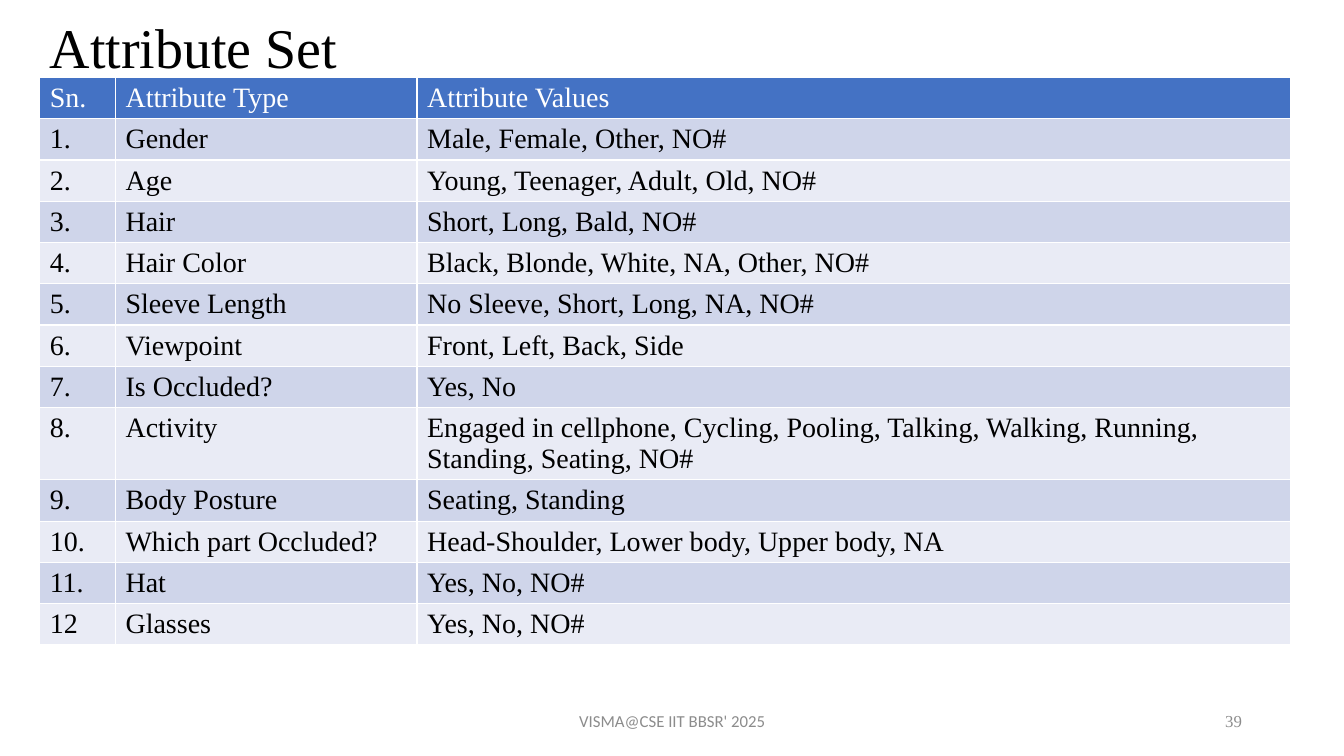
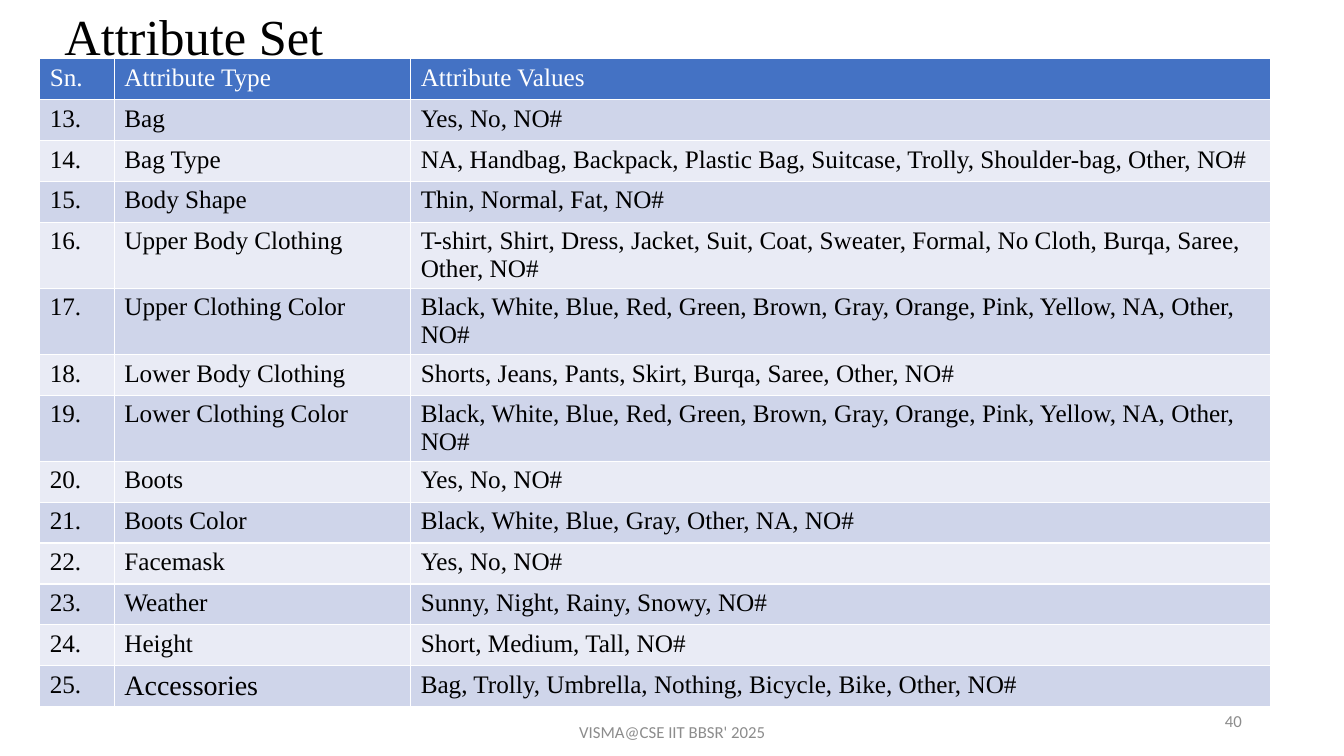
from lxml import etree
from pptx import Presentation
from pptx.dml.color import RGBColor
from pptx.enum.text import MSO_ANCHOR, MSO_AUTO_SIZE, PP_ALIGN
from pptx.oxml.ns import qn
from pptx.util import Cm, Pt

SERIF = "Times New Roman"
SANS = "Calibri"
WHITE, BLACK, GRAY = "FFFFFF", "000000", "8C8C8C"
HEADER_FILL = "4472C4"
BAND_FILLS = ("CFD5EA", "E9EBF5")
CELL_LEADING = 1.11
FOOTER = "VISMA@CSE IIT BBSR' 2025"
FOOTER_TOP = 17.65
COLOR_VALUES = ("Black, White, Blue, Red, Green, Brown, Gray, Orange, Pink, "
                "Yellow, NA, Other, NO#")

HEADER = ("Sn.", "Attribute Type", "Attribute Values")
PERSON_ROWS = [
    ("1.", "Gender", "Male, Female, Other, NO#"),
    ("2.", "Age", "Young, Teenager, Adult, Old, NO#"),
    ("3.", "Hair", "Short, Long, Bald, NO#"),
    ("4.", "Hair Color", "Black, Blonde, White, NA, Other, NO#"),
    ("5.", "Sleeve Length", "No Sleeve, Short, Long, NA, NO#"),
    ("6.", "Viewpoint", "Front, Left, Back, Side"),
    ("7.", "Is Occluded?", "Yes, No"),
    ("8.", "Activity", "Engaged in cellphone, Cycling, Pooling, Talking, "
                       "Walking, Running, Standing, Seating, NO#"),
    ("9.", "Body Posture", "Seating, Standing"),
    ("10.", "Which part Occluded?", "Head-Shoulder, Lower body, Upper body, NA"),
    ("11.", "Hat", "Yes, No, NO#"),
    ("12", "Glasses", "Yes, No, NO#"),
]
CLOTHING_ROWS = [
    ("13.", "Bag", "Yes, No, NO#"),
    ("14.", "Bag Type", "NA, Handbag, Backpack, Plastic Bag, Suitcase, Trolly, "
                        "Shoulder-bag, Other, NO#"),
    ("15.", "Body Shape", "Thin, Normal, Fat, NO#"),
    ("16.", "Upper Body Clothing", "T-shirt, Shirt, Dress, Jacket, Suit, Coat, "
                                   "Sweater, Formal, No Cloth, Burqa, Saree, "
                                   "Other, NO#"),
    ("17.", "Upper Clothing Color", COLOR_VALUES),
    ("18.", "Lower Body Clothing",
     "Shorts, Jeans, Pants, Skirt, Burqa, Saree, Other, NO#"),
    ("19.", "Lower Clothing Color", COLOR_VALUES),
    ("20.", "Boots", "Yes, No, NO#"),
    ("21.", "Boots Color", "Black, White, Blue, Gray, Other, NA, NO#"),
    ("22.", "Facemask", "Yes, No, NO#"),
    ("23.", "Weather", "Sunny, Night, Rainy, Snowy, NO#"),
    ("24.", "Height", "Short, Medium, Tall, NO#"),
    ("25.", "Accessories",
     "Bag, Trolly, Umbrella, Nothing, Bicycle, Bike, Other, NO#"),
]


def rgb(color):
    return RGBColor.from_string(color)


def write(tf, text, size, color, font=SERIF, align=PP_ALIGN.LEFT):
    tf.text = text
    p = tf.paragraphs[0]
    p.alignment = align
    for r in p.runs:
        r.font.name = font
        r.font.size = Pt(size)
        r.font.bold = False
        r.font.color.rgb = rgb(color)
    return p


def write_cell(cell, text, size, color):
    """Fill a cell at an exact line height, so that rows do not grow."""
    write(cell.text_frame, text, size, color).line_spacing = Pt(size * CELL_LEADING)


def add_title(s, text, left, top, width, height, size):
    title = s.shapes.title
    title.left, title.top = Cm(left), Cm(top)
    title.width, title.height = Cm(width), Cm(height)
    tf = title.text_frame
    tf.auto_size = MSO_AUTO_SIZE.NONE
    tf.vertical_anchor = MSO_ANCHOR.MIDDLE
    write(tf, text, size, BLACK).line_spacing = 0.9


def add_footer_text(s, text, left, top, width, font, align):
    tf = s.shapes.add_textbox(Cm(left), Cm(top), Cm(width), Cm(1.02)).text_frame
    tf.word_wrap = True
    tf.vertical_anchor = MSO_ANCHOR.MIDDLE
    write(tf, text, 12, GRAY, font, align)


def add_footer(s, number, number_font, top):
    add_footer_text(s, number, 23.93, FOOTER_TOP, 7.62, number_font, PP_ALIGN.RIGHT)
    add_footer_text(s, FOOTER, 11.23, top, 11.43, SANS, PP_ALIGN.CENTER)


def add_borders(cell, color=WHITE, width=1):
    """Draw all four borders; call before filling, as the schema puts lines first."""
    tc_pr = cell._tc.get_or_add_tcPr()
    for side in ("lnL", "lnR", "lnT", "lnB"):
        ln = etree.SubElement(tc_pr, qn(f"a:{side}"), w=str(Pt(width)))
        fill = etree.SubElement(ln, qn("a:solidFill"))
        etree.SubElement(fill, qn("a:srgbClr"), val=color)


def add_attribute_table(s, rows, top, widths, row_height, size):
    rows = [HEADER, *rows]
    table = s.shapes.add_table(len(rows), len(widths), Cm(1), Cm(top),
                               Cm(sum(widths)), Cm(row_height * len(rows))).table
    for column, width in zip(table.columns, widths):
        column.width = Cm(width)
    for i, values in enumerate(rows):
        table.rows[i].height = Cm(row_height)
        background = BAND_FILLS[(i - 1) % 2] if i else HEADER_FILL
        for cell, value in zip(table.rows[i].cells, values):
            add_borders(cell)
            cell.fill.solid()
            cell.fill.fore_color.rgb = rgb(background)
            write_cell(cell, value, size, BLACK if i else WHITE)
    return table


def add_slide(prs, title_box, title_size):
    s = prs.slides.add_slide(prs.slide_layouts[5])
    add_title(s, "Attribute Set", *title_box, title_size)
    return s


def main():
    prs = Presentation()
    prs.slide_width, prs.slide_height = Cm(33.87), Cm(19.05)

    s = add_slide(prs, (1, 0.23, 10.24, 2.08), 40)
    add_attribute_table(s, PERSON_ROWS, 1.95, (1.91, 7.6, 22.02), 1.04, 20)
    add_footer(s, "39", SERIF, FOOTER_TOP)

    s = add_slide(prs, (1.37, 0.1, 8.9, 1.75), 36)
    table = add_attribute_table(s, CLOTHING_ROWS, 1.48, (1.88, 7.47, 21.66), 1.03, 18)
    write_cell(table.cell(len(CLOTHING_ROWS), 1), "Accessories", 20, BLACK)
    add_footer(s, "40", SANS, 17.93)

    prs.save("out.pptx")


if __name__ == "__main__":
    main()
